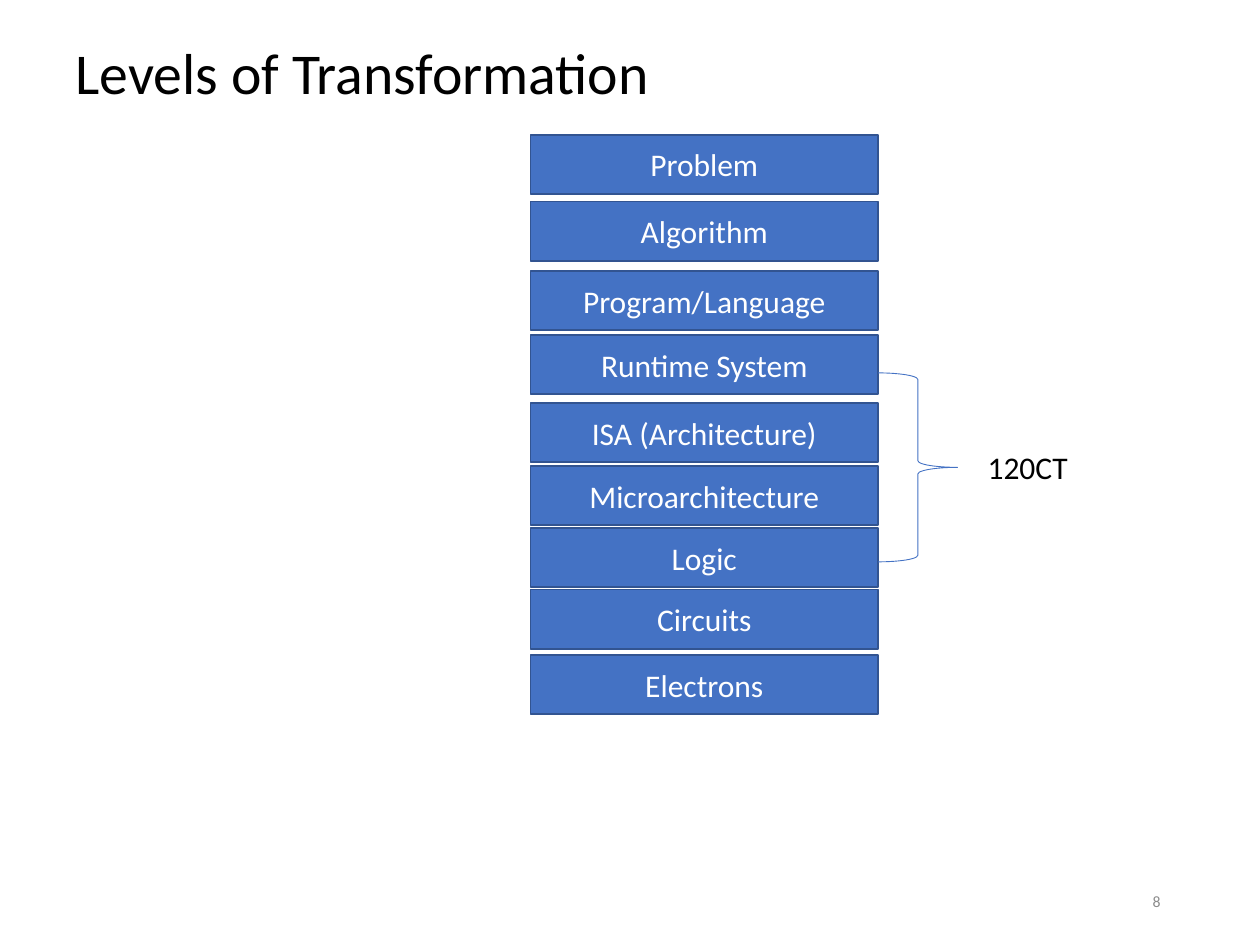
"""Build the slide that stacks the levels of transformation of a computer system."""
from dataclasses import dataclass

from pptx import Presentation
from pptx.dml.color import RGBColor
from pptx.enum.shapes import MSO_SHAPE
from pptx.enum.text import MSO_ANCHOR, PP_ALIGN
from pptx.util import Inches, Pt

COLUMNS, ROWS = 100, 75
SLIDE_WIDTH, SLIDE_HEIGHT = Inches(10), Inches(7.5)


@dataclass(frozen=True)
class Theme:
    font: str = "Calibri"
    ink: str = "000000"
    muted: str = "8C8C8C"
    level_text: str = "FFFFFF"
    level_fill: str = "4472C4"
    level_edge: str = "325491"
    title_size: float = 33
    body_size: float = 18
    number_size: float = 9
    edge_width: float = 1
    brace_width: float = 0.5


@dataclass(frozen=True)
class Area:
    column: float
    row: float
    columns: float
    rows: float

    def box(self) -> tuple[int, int, int, int]:
        """Return left, top, width and height in slide units."""
        across, down = SLIDE_WIDTH / COLUMNS, SLIDE_HEIGHT / ROWS
        return (round(self.column * across), round(self.row * down),
                round(self.columns * across), round(self.rows * down))


@dataclass(frozen=True)
class Level:
    name: str
    row: float


@dataclass(frozen=True)
class Label:
    text: str
    area: Area
    size: float
    color: str
    align: PP_ALIGN = PP_ALIGN.LEFT
    anchor: MSO_ANCHOR = MSO_ANCHOR.MIDDLE
    line_spacing: float = 1.0


THEME = Theme()
STACK_COLUMN, STACK_COLUMNS, LEVEL_ROWS = 42.1, 27.6, 4.7
LEVELS = (
    Level("Problem", 10.7),
    Level("Algorithm", 16),
    Level("Program/Language", 21.5),
    Level("Runtime System", 26.6),
    Level("ISA (Architecture)", 32),
    Level("Microarchitecture", 37),
    Level("Logic", 41.9),
    Level("Circuits", 46.8),
    Level("Electrons", 52),
)
COURSE_SPAN = Area(STACK_COLUMN + STACK_COLUMNS, 29.6, 6.3, 15)
LABELS = (
    Label("Levels of Transformation", Area(5, 3, 90, 6.1),
          THEME.title_size, THEME.ink, line_spacing=0.9),
    Label("8", Area(70.6, 69.5, 22.5, 4), THEME.number_size, THEME.muted,
          align=PP_ALIGN.RIGHT),
    Label("120CT", Area(77.4, 35.1, 17, 4), THEME.body_size, THEME.ink,
          anchor=MSO_ANCHOR.TOP),
)


def write(frame, text: str, size: float, color: str, align: PP_ALIGN,
          anchor: MSO_ANCHOR):
    """Add one styled run to a text frame and return its paragraph."""
    frame.word_wrap = True
    frame.vertical_anchor = anchor
    paragraph = frame.paragraphs[0]
    paragraph.alignment = align
    run = paragraph.add_run()
    run.text = text
    run.font.name = THEME.font
    run.font.size = Pt(size)
    run.font.color.rgb = RGBColor.from_string(color)
    return paragraph


def draw_label(slide, label: Label) -> None:
    """Draw free-standing text."""
    frame = slide.shapes.add_textbox(*label.area.box()).text_frame
    paragraph = write(frame, label.text, label.size, label.color,
                      label.align, label.anchor)
    paragraph.line_spacing = label.line_spacing


def draw_level(slide, level: Level) -> None:
    """Draw one level of the stack."""
    area = Area(STACK_COLUMN, level.row, STACK_COLUMNS, LEVEL_ROWS)
    block = slide.shapes.add_shape(MSO_SHAPE.RECTANGLE, *area.box())
    block.shadow.inherit = False
    block.fill.solid()
    block.fill.fore_color.rgb = RGBColor.from_string(THEME.level_fill)
    block.line.color.rgb = RGBColor.from_string(THEME.level_edge)
    block.line.width = Pt(THEME.edge_width)
    write(block.text_frame, level.name, THEME.body_size, THEME.level_text,
          PP_ALIGN.CENTER, MSO_ANCHOR.MIDDLE)


def draw_brace(slide, area: Area) -> None:
    """Draw the brace around the levels that the course covers."""
    brace = slide.shapes.add_shape(MSO_SHAPE.RIGHT_BRACE, *area.box())
    brace.shadow.inherit = False
    brace.fill.background()
    brace.line.color.rgb = RGBColor.from_string(THEME.level_fill)
    brace.line.width = Pt(THEME.brace_width)


def main() -> None:
    """Assemble and save the slide."""
    deck = Presentation()
    deck.slide_width, deck.slide_height = SLIDE_WIDTH, SLIDE_HEIGHT
    slide = deck.slides.add_slide(deck.slide_layouts[6])
    for level in LEVELS:
        draw_level(slide, level)
    draw_brace(slide, COURSE_SPAN)
    for label in LABELS:
        draw_label(slide, label)
    deck.save("out.pptx")


if __name__ == "__main__":
    main()
